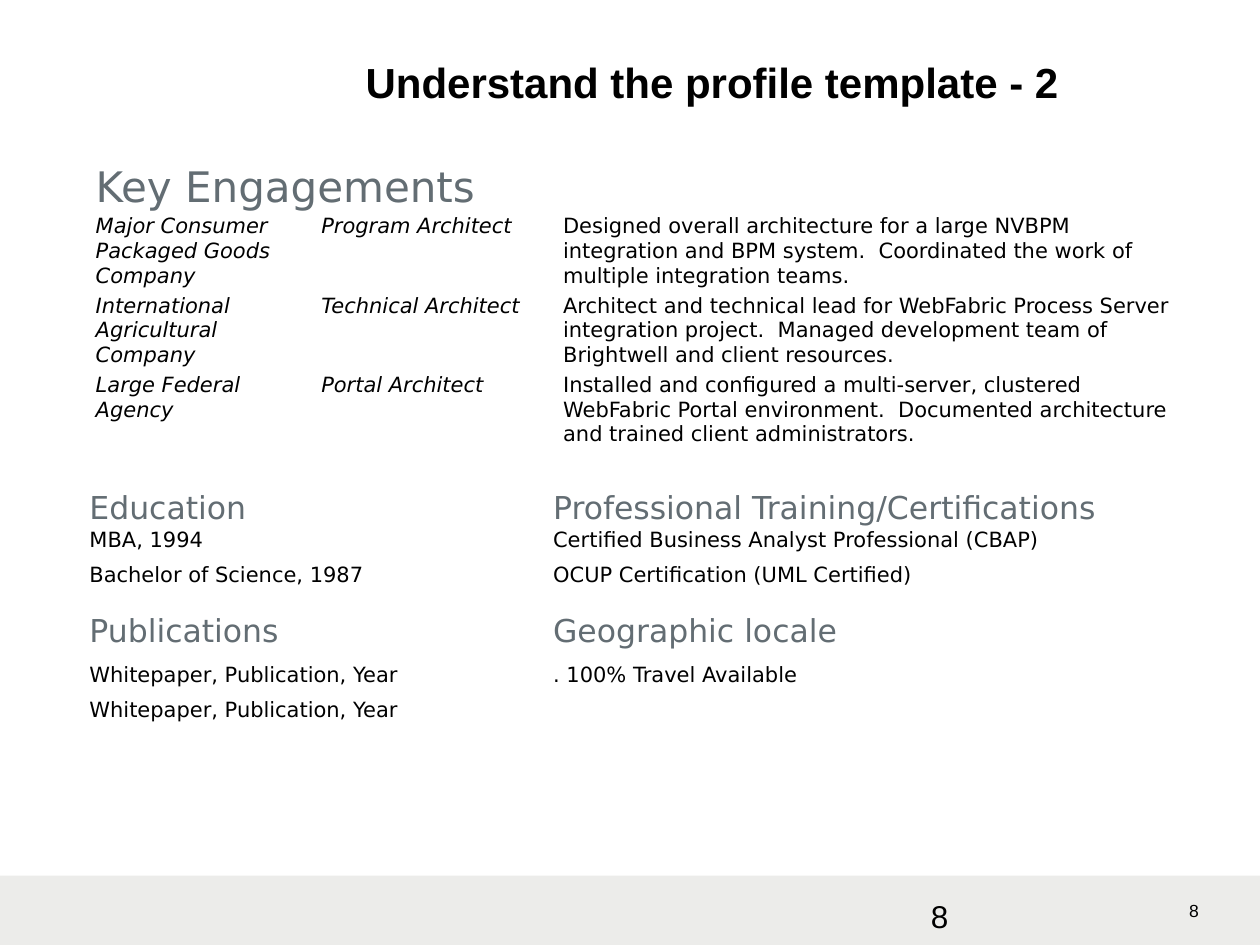
import pptx
import pptx.dml.color
import pptx.enum.shapes
import pptx.enum.text
import pptx.util

Inches = pptx.util.Inches
Pt = pptx.util.Pt

COLORS = {"ink": "000000", "heading": "636D73", "band": "ECECEA"}
LABEL_FONT, BODY_FONT = "Arial", "DejaVu Sans"

ENGAGEMENTS = [
    ("Major Consumer Packaged Goods Company", "Program Architect",
     "Designed overall architecture for a large NVBPM integration and BPM system.  "
     "Coordinated the work of multiple integration teams."),
    ("International Agricultural Company", "Technical Architect",
     "Architect and technical lead for WebFabric Process Server integration project.  "
     "Managed development team of Brightwell and client resources."),
    ("Large Federal Agency", "Portal Architect",
     "Installed and configured a multi-server, clustered WebFabric Portal environment.  "
     "Documented architecture and trained client administrators."),
]
BACKGROUND = [
    ["Education", "Professional Training/Certifications"],
    [["MBA, 1994", "Bachelor of Science, 1987"],
     ["Certified Business Analyst Professional (CBAP)", "OCUP Certification (UML Certified)"]],
    ["Publications", "Geographic locale"],
    [["Whitepaper, Publication, Year"] * 2, [". 100% Travel Available"]],
]


class ProfileSlide:
    """Holds the colours and the slide, and adds each kind of element."""

    def __init__(self, slide, colors):
        self.slide = slide
        self.colors = colors

    def color(self, name):
        return pptx.dml.color.RGBColor.from_string(self.colors[name])

    def band(self, left, top, width, height):
        footer = self.slide.shapes.add_shape(
            pptx.enum.shapes.MSO_SHAPE.RECTANGLE,
            Inches(left), Inches(top), Inches(width), Inches(height))
        footer.shadow.inherit = False
        footer.fill.solid()
        footer.fill.fore_color.rgb = self.color("band")
        footer.line.fill.background()

    def add_lines(self, frame, lines, size, font=BODY_FONT, color="ink", bold=False,
                  italic=False, before=0, after=0, hanging=0):
        frame.word_wrap = True
        for index, line in enumerate(lines):
            paragraph = frame.add_paragraph() if index else frame.paragraphs[0]
            paragraph.space_before, paragraph.space_after = Pt(before), Pt(after)
            if hanging:
                properties = paragraph._p.get_or_add_pPr()
                properties.set("marL", str(Inches(hanging)))
                properties.set("indent", str(-Inches(hanging)))
            run = paragraph.add_run()
            run.text = line
            run.font.name, run.font.size = font, Pt(size)
            run.font.bold, run.font.italic = bold, italic
            run.font.color.rgb = self.color(color)

    def label(self, text, left, top, width, height, size, **style):
        box = self.slide.shapes.add_textbox(
            Inches(left), Inches(top), Inches(width), Inches(height))
        self.add_lines(box.text_frame, [text], size, LABEL_FONT, **style)
        return box.text_frame

    def table(self, left, top, widths, heights):
        grid = self.slide.shapes.add_table(
            len(heights), len(widths), Inches(left), Inches(top),
            Inches(sum(widths)), Inches(sum(heights))).table
        grid.first_row = grid.horz_banding = False
        for column, width in zip(grid.columns, widths):
            column.width = Inches(width)
        for row, height in zip(grid.rows, heights):
            row.height = Inches(height)
        for cell in grid.iter_cells():
            cell.fill.background()
            cell.margin_left = cell.margin_right = Inches(0.07)
            cell.margin_top = cell.margin_bottom = 0
        return grid


def main():
    deck = pptx.Presentation()
    deck.slide_width, deck.slide_height = Inches(10), Inches(7.5)
    profile = ProfileSlide(deck.slides.add_slide(deck.slide_layouts[6]), COLORS)

    profile.band(0, 6.95, 10, 0.55)
    profile.label("8", 9.34, 7.09, 1.93, 0.27, 10)
    profile.label("8", 7.29, 7.07, 2.42, 0.4, 18)
    title = profile.label("Understand the profile template - 2",
                          1.45, 0.3, 7.05, 0.69, 24, bold=True)
    title.vertical_anchor = pptx.enum.text.MSO_ANCHOR.MIDDLE
    title.paragraphs[0].alignment = pptx.enum.text.PP_ALIGN.RIGHT

    engagements = profile.table(0.69, 1.3, [1.79, 1.92, 5.11], [0.39] + [0.63] * 3)
    engagements.cell(0, 0).merge(engagements.cell(0, 2))
    profile.add_lines(engagements.cell(0, 0).text_frame, ["Key Engagements"], 24,
                      color="heading")
    for row, engagement in enumerate(ENGAGEMENTS, 1):
        for column, text in enumerate(engagement):
            profile.add_lines(engagements.cell(row, column).text_frame, [text], 12,
                              italic=column < 2, before=1)

    background = profile.table(0.64, 3.89, [3.68, 5.39], [0.16, 0.68, 0.39, 0.92])
    heading_spacing = {0: (1, 2), 2: (2, 3)}
    for row, entries in enumerate(BACKGROUND):
        for column, entry in enumerate(entries):
            frame = background.cell(row, column).text_frame
            if row in heading_spacing:
                before, after = heading_spacing[row]
                profile.add_lines(frame, [entry], 18, color="heading",
                                  before=before, after=after)
            else:
                profile.add_lines(frame, entry, 12, before=3, after=3, hanging=0.17)

    deck.save("out.pptx")


if __name__ == "__main__":
    main()
